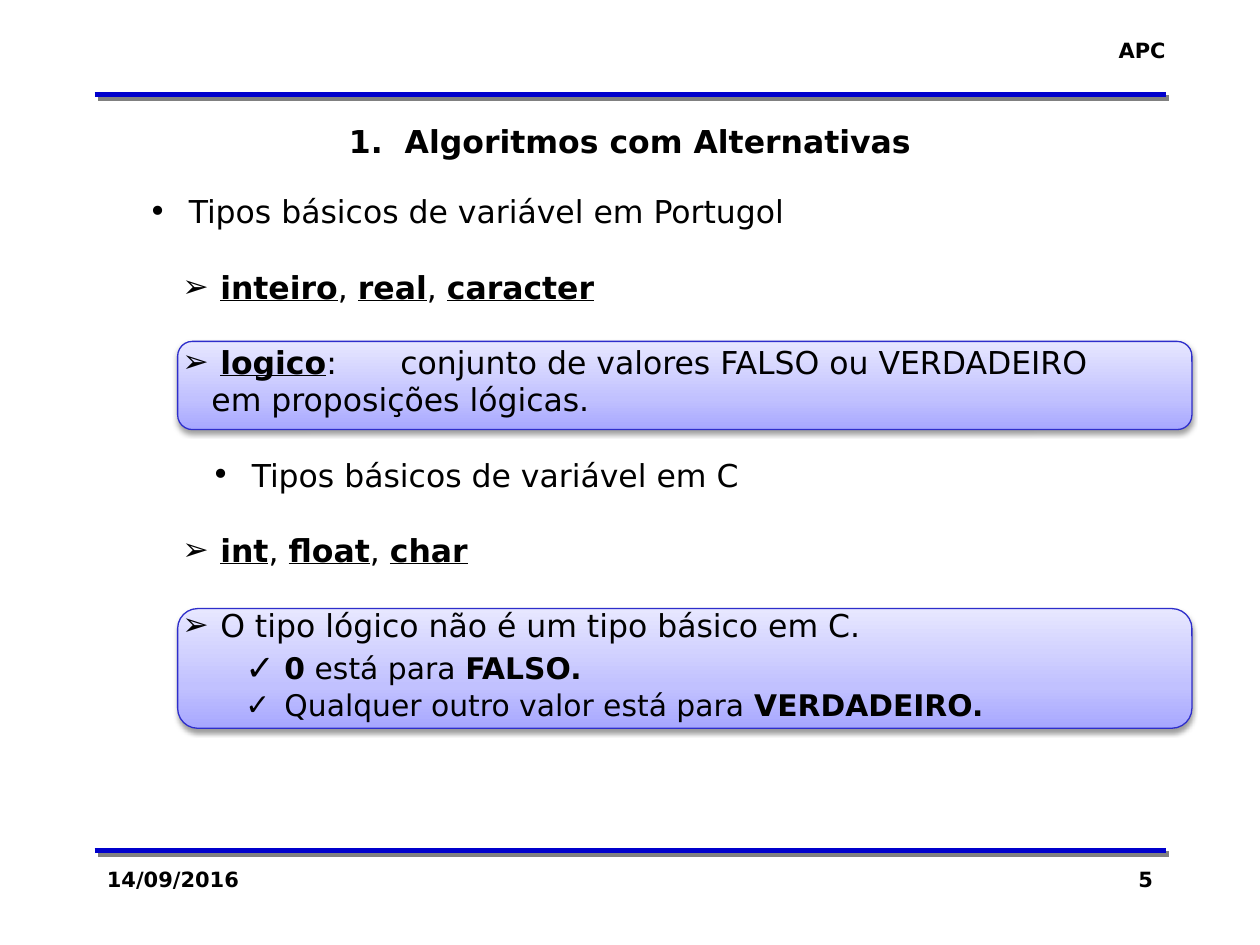
from pptx import Presentation
from pptx.dml.color import RGBColor
from pptx.enum.shapes import MSO_CONNECTOR as Connector, MSO_SHAPE as Shape
from pptx.enum.text import MSO_ANCHOR as Anchor, MSO_AUTO_SIZE as AutoSize, PP_ALIGN as Align
from pptx.oxml import parse_xml
from pptx.oxml.ns import nsdecls, qn
from pptx.util import Inches, Pt

COLORS = {
    "text": "000000", "rule": "0000CC", "rule_shadow": "808080",
    "panel_line": "2E2ECB", "panel_shadow": "000000",
    "panel_low": "A7A7FF", "panel_mid": "C1C1FF", "panel_high": "E7E7FF",
}
FONT = "DejaVu Sans"
CELL = 0.25  # the grid has 40 columns and 30 rows
LINE = 21.5  # line pitch of the body, in points

# Margin and hang in inches, and bullet, for each kind of line
LEVELS = {
    "topic": (0.32, 0.32, "•"),
    "inner topic": (0.82, 0.32, "•"),
    "item": (0.57, 0.3, "➢"),
    "continuation": (0.5, 0, None),
    "detail": (1.08, 0.31, "✓"),
}


def element(xml):
    """Make a DrawingML element; the first tag gets the namespace."""
    end = min(xml.index(mark) for mark in " />" if mark in xml)
    return parse_xml(f"{xml[:end]} {nsdecls('a')}{xml[end:]}")


class Page:
    def __init__(self, deck):
        self.slide = deck.slides.add_slide(deck.slide_layouts[5])
        self.shapes = self.slide.shapes

    def grid(self, *cells):
        return [Inches(round(cell * CELL, 2)) for cell in cells]

    def shadow(self, shape, color, alpha, blur, distance, angle):
        shape._element.spPr.append(element(
            f'<a:effectLst><a:outerShdw blurRad="{Pt(blur)}" dist="{Pt(distance)}" '
            f'dir="{angle * 60000}" algn="ctr" rotWithShape="0">'
            f'<a:srgbClr val="{COLORS[color]}"><a:alpha val="{alpha * 1000}"/></a:srgbClr>'
            '</a:outerShdw></a:effectLst>'))

    def outline(self, shape, color, width):
        shape.line.color.rgb = RGBColor.from_string(COLORS[color])
        shape.line.width = Pt(width)

    def rule(self, row):
        line = self.shapes.add_connector(Connector.STRAIGHT, *self.grid(3, row, 37, row))
        self.outline(line, "rule", 3)
        self.shadow(line, "rule_shadow", 100, 0, 2.8, 45)

    def panel(self, row, height):
        panel = self.shapes.add_shape(
            Shape.ROUNDED_RECTANGLE, *self.grid(5.64, row, 32.2, height))
        panel.fill.gradient()
        panel.fill.gradient_angle = 90
        stops = panel._element.spPr.find(".//" + qn("a:gsLst"))
        for stop in list(stops):
            stops.remove(stop)
        for place, color in ((0, "panel_low"), (35, "panel_mid"), (100, "panel_high")):
            stops.append(element(f'<a:gs pos="{place * 1000}">'
                                 f'<a:srgbClr val="{COLORS[color]}"/></a:gs>'))
        self.outline(panel, "panel_line", 0.75)
        self.shadow(panel, "panel_shadow", 38, 3.1, 1.6, 90)

    def style(self, span, size, bold=False, underline=False):
        span.font.name = FONT
        span.font.size = Pt(size)
        span.font.bold = bold
        span.font.underline = underline
        span.font.color.rgb = RGBColor.from_string(COLORS["text"])

    def label(self, text, cells, size=12, align=Align.LEFT, box=None):
        box = box or self.shapes.add_textbox(0, 0, 0, 0)
        box.left, box.top, box.width, box.height = self.grid(*cells)
        frame = box.text_frame
        frame.text = text
        frame.word_wrap = True
        frame.auto_size = AutoSize.NONE
        frame.vertical_anchor = Anchor.TOP
        para = frame.paragraphs[0]
        para.alignment = align
        self.style(para.runs[0], size, bold=True)

    def title(self, text, cells):
        self.label(text, cells, 18, Align.CENTER, self.shapes.title)

    def bullet(self, para, level, scale, tab):
        margin, hang, mark = LEVELS[level]
        properties = para._p.get_or_add_pPr()
        properties.set("marL", str(Inches(margin)))
        properties.set("indent", str(-Inches(hang)))
        if mark:
            properties.append(element(f'<a:buSzPct val="{scale * 1000}"/>'))
            properties.append(element(f'<a:buFont typeface="{FONT}"/>'))
            properties.append(element(f'<a:buChar char="{mark}"/>'))
        else:
            properties.append(element("<a:buNone/>"))
        if tab:
            properties.append(element(
                f'<a:tabLst><a:tab pos="{Inches(tab)}" algn="l"/></a:tabLst>'))

    def body(self, lines, cells):
        frame = self.shapes.add_textbox(*self.grid(*cells)).text_frame
        frame.word_wrap = True
        for index, (level, spans, options) in enumerate(lines):
            para = frame.add_paragraph() if index else frame.paragraphs[0]
            self.bullet(para, level, options.get("scale", 100), options.get("tab"))
            para.alignment = Align.JUSTIFY
            para.line_spacing = Pt(options.get("pitch", LINE))
            para.space_before = Pt(LINE if options.get("gap") else 0)
            for text, marks in spans:
                span = para.add_run()
                span.text = text
                self.style(span, 17 if level == "detail" else 18, "b" in marks, "u" in marks)


def keywords(*words):
    """Bold underlined words with plain commas between them."""
    spans = [part for word in words for part in ((", ", ""), (word, "bu"))]
    return spans[1:]


def main():
    deck = Presentation()
    deck.slide_width, deck.slide_height = Inches(10), Inches(7.5)
    page = Page(deck)

    # Header and footer
    for row in (27, 3):
        page.rule(row)
    page.label("APC", (33, 1, 4.4, 1.2), align=Align.RIGHT)
    page.label("14/09/2016", (3, 27.32, 8.32, 2))
    page.label("5", (28.68, 27.32, 8.32, 2), align=Align.RIGHT)
    page.title("1.  Algoritmos com Alternativas", (3, 3.68, 34, 1.6))

    # Panels behind the text on logical values
    page.panel(10.84, 2.8)
    page.panel(19.32, 3.8)

    # Variable types in Portugol, then in C
    gap = {"gap": True}
    page.body([
        ("topic", [("Tipos básicos de variável em Portugol", "")], {}),
        ("item", keywords("inteiro", "real", "caracter"), gap),
        ("item", [("logico", "bu"), (": \tconjunto de valores FALSO ou VERDADEIRO", "")],
         {"gap": True, "tab": 2}),
        ("continuation", [("em proposições lógicas.", "")], {}),
        ("inner topic", [("Tipos básicos de variável em C", "")], gap),
        ("item", keywords("int", "float", "char"), gap),
        ("item", [("O tipo lógico não é um tipo básico em C.", "")], gap),
        ("detail", [("0", "b"), (" está para ", ""), ("FALSO.", "b")],
         {"pitch": 24, "scale": 118}),
        ("detail", [("Qualquer outro valor está para ", ""), ("VERDADEIRO.", "b")],
         {"pitch": 21}),
    ], (4.32, 5.92, 34.12, 17.44))

    deck.save("out.pptx")


if __name__ == "__main__":
    main()
